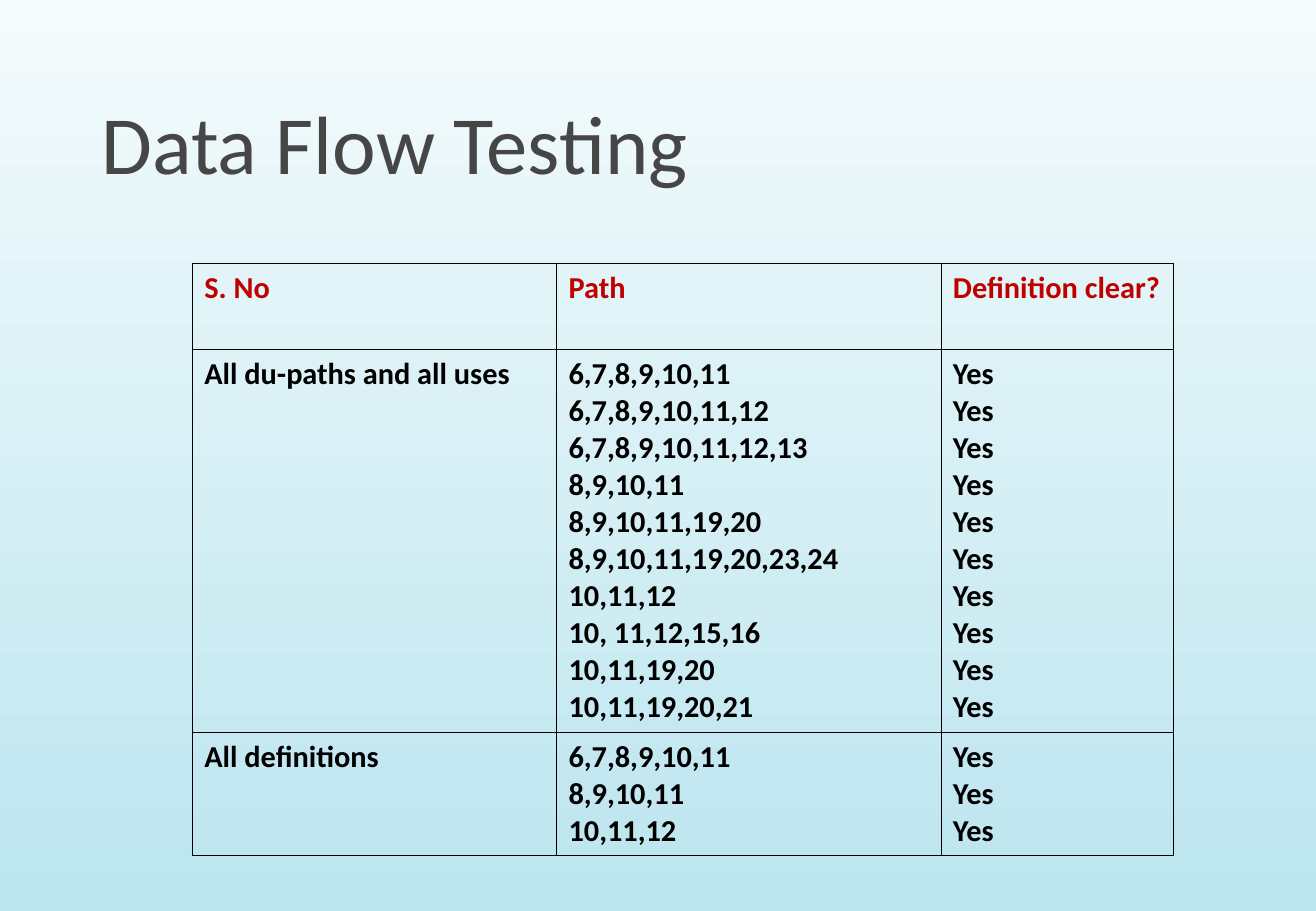
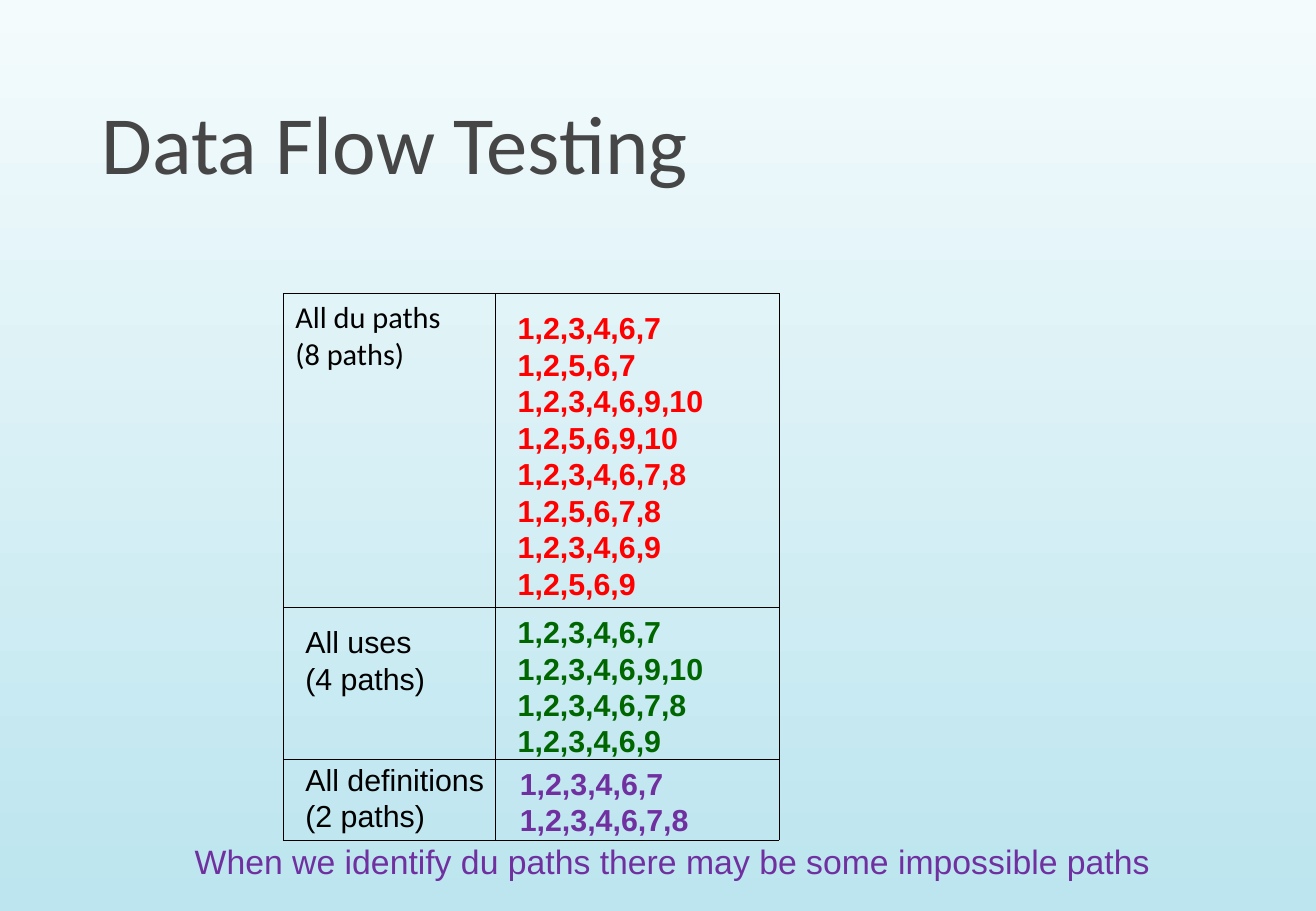
"""Build two slides on data flow testing."""
from dataclasses import dataclass

from lxml.etree import SubElement
from pptx import Presentation
from pptx.dml.color import RGBColor
from pptx.enum.text import MSO_ANCHOR, MSO_AUTO_SIZE, PP_ALIGN
from pptx.oxml.ns import qn
from pptx.util import Emu, Inches, Pt

BLACK, GREY, WINE = "000000", "464646", "C00000"
RED, GREEN, PLUM = "FF0000", "006600", "7030A0"
SKY = ("F4FBFC", "BCE5EF")
SANS, ARIAL = "Calibri", "Arial"
EDGE = Pt(0.45)


@dataclass(frozen=True)
class Style:
    """Look of a text."""
    size: int = 18
    color: str = BLACK
    face: str = SANS
    bold: bool = False
    align: PP_ALIGN = PP_ALIGN.LEFT


@dataclass(frozen=True)
class Label:
    """Text box, placed in grid units."""
    left: float
    top: float
    width: float
    height: float
    lines: list[str]
    style: Style


@dataclass(frozen=True)
class Grid:
    """Table, placed in grid units."""
    left: float
    top: float
    cols: list[float]
    rows: list[float]
    cells: list[list[list[str]]]
    head: Style
    body: Style


HEAD = Style(color=WINE, bold=True)
BODY = Style(bold=True)
PLAIN = Style()
NAME = Style(face=ARIAL)

PATHS = Grid(
    19, 26, [36, 38, 23], [8.5, 37.2, 12],
    [
        [["S. No"], ["Path"], ["Definition clear?"]],
        [["All du-paths and all uses"],
         ["6,7,8,9,10,11", "6,7,8,9,10,11,12", "6,7,8,9,10,11,12,13",
          "8,9,10,11", "8,9,10,11,19,20", "8,9,10,11,19,20,23,24",
          "10,11,12", "10, 11,12,15,16", "10,11,19,20", "10,11,19,20,21"],
         ["Yes"] * 10],
        [["All definitions"],
         ["6,7,8,9,10,11", "8,9,10,11", "10,11,12"],
         ["Yes"] * 3],
    ],
    HEAD, BODY)

COUNTS = Grid(
    28, 29, [21, 28], [31, 15, 8],
    [[["All du paths", "(8 paths)"], []], [[], []], [[], []]],
    PLAIN, PLAIN)

LABELS = [
    Label(16, 82.5, 101, 5.3,
          ["When we identify du paths there may be some impossible paths"],
          Style(20, PLUM, ARIAL, align=PP_ALIGN.CENTER)),
    Label(50, 30, 23, 30,
          ["1,2,3,4,6,7", "1,2,5,6,7", "1,2,3,4,6,9,10", "1,2,5,6,9,10",
           "1,2,3,4,6,7,8", "1,2,5,6,7,8", "1,2,3,4,6,9", "1,2,5,6,9"],
          Style(18, RED, ARIAL, True)),
    Label(50, 60, 24, 15.6,
          ["1,2,3,4,6,7", "1,2,3,4,6,9,10", "1,2,3,4,6,7,8", "1,2,3,4,6,9"],
          Style(18, GREEN, ARIAL, True)),
    Label(50.2, 75, 21, 8.4, ["1,2,3,4,6,7", "1,2,3,4,6,7,8"],
          Style(18, PLUM, ARIAL, True)),
    Label(29, 61, 16, 8.4, ["All uses", "(4 paths)"], NAME),
    Label(29, 74.6, 21, 8.4, ["All definitions", "(2 paths)"], NAME),
]


def unit(count: float) -> Emu:
    """Turn grid units, twelve to the inch, into a length."""
    return Inches(count / 12)


def tint(code: str) -> RGBColor:
    """Turn a hex string into a colour."""
    return RGBColor.from_string(code)


def write(frame, lines: list[str], style: Style) -> None:
    """Fill a text frame with lines in one style."""
    frame.text = "\n".join(lines)
    for para in frame.paragraphs:
        para.alignment = style.align
        font = para.font
        font.size, font.name, font.bold = Pt(style.size), style.face, style.bold
        font.color.rgb = tint(style.color)


def frame_cell(cell) -> None:
    """Clear the fill of a cell and rule its four sides."""
    cell.fill.background()
    props = cell._tc.get_or_add_tcPr()
    for spot, side in enumerate(("lnL", "lnR", "lnT", "lnB")):
        line = SubElement(props, qn(f"a:{side}"), w=str(EDGE))
        fill = SubElement(line, qn("a:solidFill"))
        SubElement(fill, qn("a:srgbClr"), val=BLACK)
        props.insert(spot, line)


def add_grid(slide, grid: Grid) -> None:
    """Draw a table."""
    table = slide.shapes.add_table(
        len(grid.rows), len(grid.cols), unit(grid.left), unit(grid.top),
        unit(sum(grid.cols)), unit(sum(grid.rows))).table
    table.first_row = table.horz_banding = False
    for col, width in zip(table.columns, grid.cols):
        col.width = unit(width)
    for row, height in zip(table.rows, grid.rows):
        row.height = unit(height)
    for r, row in enumerate(grid.cells):
        for c, lines in enumerate(row):
            cell = table.cell(r, c)
            frame_cell(cell)
            if lines:
                write(cell.text_frame, lines, grid.body if r else grid.head)


def add_label(slide, label: Label) -> None:
    """Draw a text box."""
    box = slide.shapes.add_textbox(
        unit(label.left), unit(label.top), unit(label.width), unit(label.height))
    frame = box.text_frame
    frame.word_wrap = True
    frame.auto_size = MSO_AUTO_SIZE.SHAPE_TO_FIT_TEXT
    write(frame, label.lines, label.style)


def add_page(deck, text: str):
    """Add a slide with its title."""
    slide = deck.slides.add_slide(deck.slide_layouts.get_by_name("Title Only"))
    title = slide.shapes.title
    title.left, title.top = unit(8.6), unit(2)
    title.width, title.height = unit(116), unit(17.6)
    frame = title.text_frame
    frame.auto_size = MSO_AUTO_SIZE.NONE
    frame.vertical_anchor = MSO_ANCHOR.BOTTOM
    frame.margin_left = frame.margin_right = Inches(0.12)
    frame.margin_top = frame.margin_bottom = Inches(0.06)
    write(frame, [text], Style(49, GREY))
    return slide


def paint(deck) -> None:
    """Give the master its gradient, light at the top."""
    fill = deck.slide_master.background.fill
    fill.gradient()
    fill.gradient_angle = 270
    for stop, code in zip(fill.gradient_stops, SKY):
        stop.color.rgb = tint(code)


def main() -> None:
    """Build and save the deck."""
    deck = Presentation()
    deck.slide_width, deck.slide_height = Inches(10.84), Inches(7.5)
    paint(deck)
    for grid, labels in ((PATHS, []), (COUNTS, LABELS)):
        slide = add_page(deck, "Data Flow Testing")
        add_grid(slide, grid)
        for label in labels:
            add_label(slide, label)
    deck.save("out.pptx")


if __name__ == "__main__":
    main()
